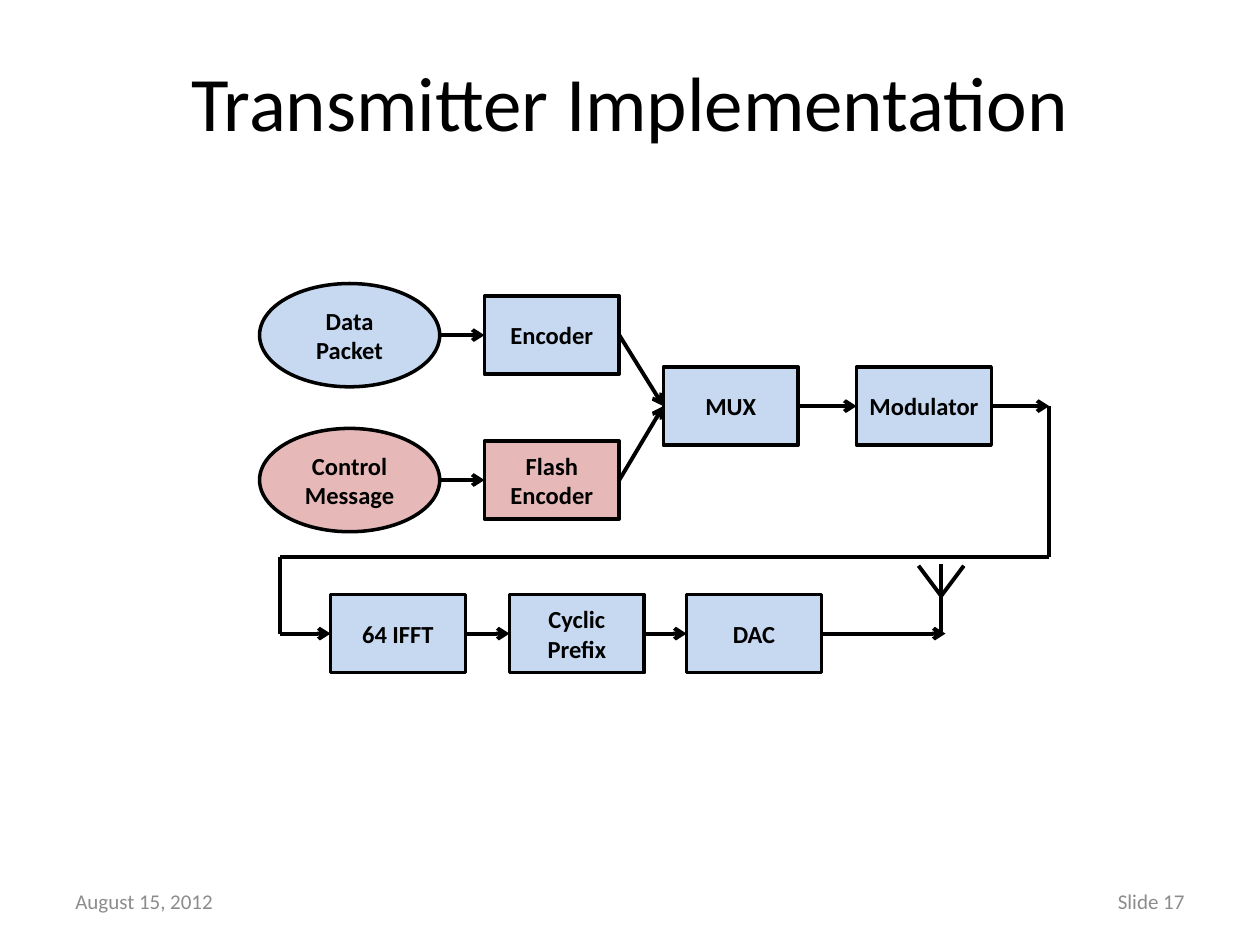
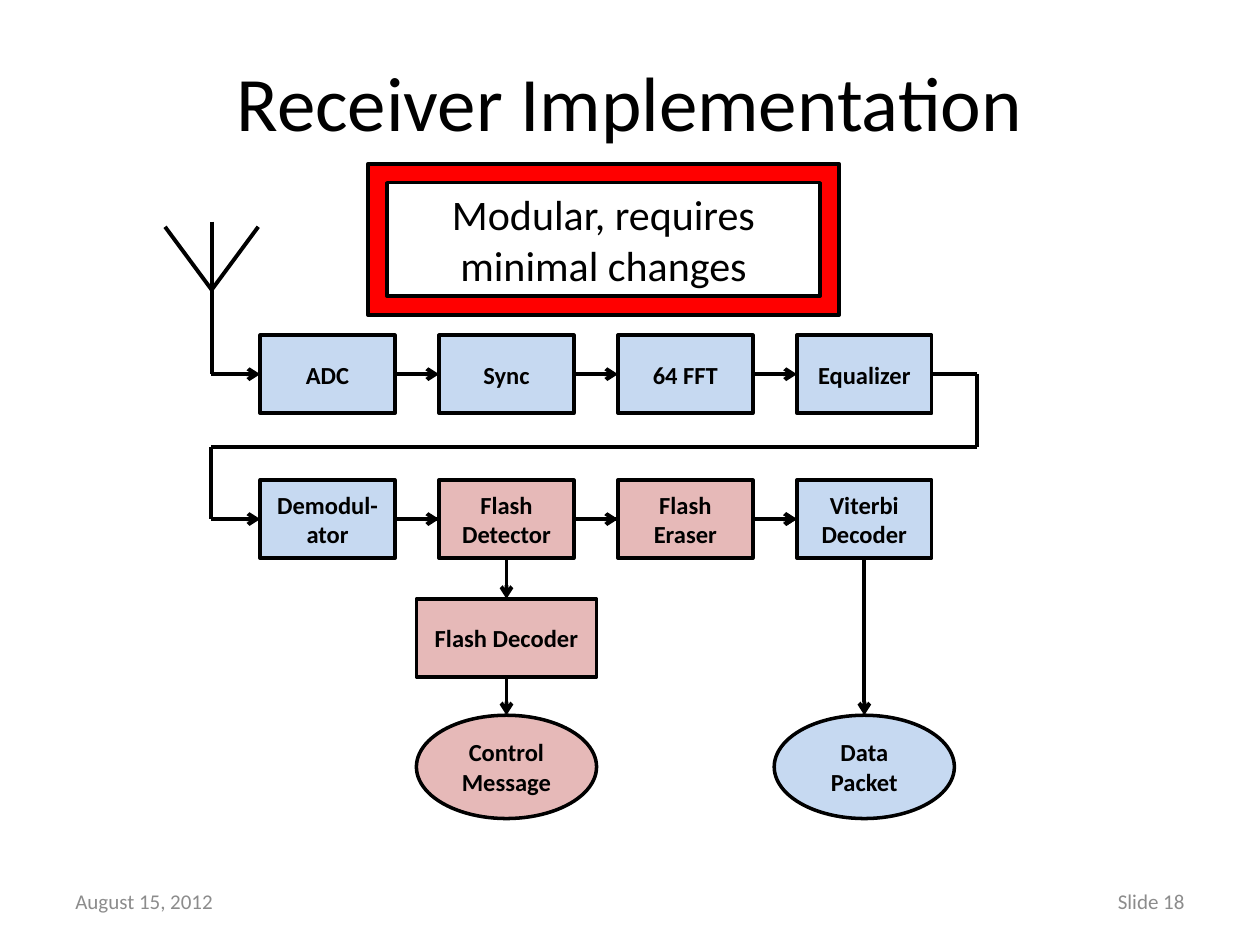
from dataclasses import dataclass
from typing import NamedTuple, Union

import pptx
import pptx.dml.color
import pptx.enum.shapes
import pptx.enum.text
import pptx.oxml.ns
import pptx.util
from lxml import etree
from pptx.shapes.autoshape import Shape
from pptx.shapes.connector import Connector
from pptx.slide import Slide

RGBColor = pptx.dml.color.RGBColor
Inches = pptx.util.Inches
Pt = pptx.util.Pt
Align = pptx.enum.text.PP_ALIGN
Preset = pptx.enum.shapes.MSO_SHAPE

BLACK = RGBColor(0x00, 0x00, 0x00)
GREY = RGBColor(0x8C, 0x8C, 0x8C)
RED = RGBColor(0xFF, 0x00, 0x00)
STANDARD = RGBColor(0xC6, 0xD9, 0xF1)
FLASH = RGBColor(0xE6, 0xB9, 0xB8)

FONT = "Calibri"
SLIDE_WIDTH, SLIDE_HEIGHT = 10, 7.5
COLUMN, ROW = 1.42, 1.15
BLOCK_WIDTH, BLOCK_HEIGHT = 1.07, 0.62
WIDE = 1.43
PACKET_HEIGHT = 0.82
TOP, LEFT, BOTTOM, RIGHT = range(4)


class Point(NamedTuple):
    x: float
    y: float


class Joint(NamedTuple):
    """The middle of one side of a stage."""
    stage: Shape
    side: int


End = Union[Point, Joint]


class Grid(NamedTuple):
    """Stage centres, counted in columns and rows from the first block."""
    x: float
    y: float

    def at(self, column: float, row: float) -> Point:
        return Point(self.x + column * COLUMN, self.y + row * ROW)


@dataclass(frozen=True)
class Stage:
    label: str
    column: float
    row: float
    fill: RGBColor = STANDARD
    width: float = BLOCK_WIDTH
    height: float = BLOCK_HEIGHT
    preset: Preset = Preset.RECTANGLE


@dataclass(frozen=True)
class Antenna:
    mast: float
    top: float
    tips: float
    fork: float
    foot: float
    spread: float


def packet(label: str, column: float, row: float, fill: RGBColor) -> Stage:
    return Stage(label, column, row, fill, WIDE, PACKET_HEIGHT, Preset.OVAL)


def write(shape: Shape, text: str, *, size: float, color: RGBColor = BLACK,
          bold: bool = False, align: Align = Align.CENTER,
          side_inset: float = 0.1) -> None:
    frame = shape.text_frame
    frame.word_wrap = True
    frame.vertical_anchor = pptx.enum.text.MSO_ANCHOR.MIDDLE
    frame.margin_left = frame.margin_right = Inches(side_inset)
    frame.text = text
    paragraph = frame.paragraphs[0]
    paragraph.alignment = align
    paragraph.font.name = FONT
    paragraph.font.size = Pt(size)
    paragraph.font.bold = bold
    paragraph.font.color.rgb = color


def place(shape: Shape, left: float, top: float, width: float, height: float) -> None:
    """Position a shape by shares of the slide's size."""
    shape.left, shape.width = (Inches(share * SLIDE_WIDTH) for share in (left, width))
    shape.top, shape.height = (Inches(share * SLIDE_HEIGHT) for share in (top, height))


def add_page(deck: pptx.presentation.Presentation, title: str, number: int) -> Slide:
    slide = deck.slides.add_slide(deck.slide_layouts[5])
    place(slide.shapes.title, 0.05, 0.023, 0.9, 0.167)
    write(slide.shapes.title, title, size=44)
    footers = ((0.05, "August 15, 2012", Align.LEFT),
               (0.717, f"Slide {number}", Align.RIGHT))
    for left, text, align in footers:
        footer = slide.shapes.add_textbox(0, 0, 0, 0)
        place(footer, left, 0.927, 0.233, 0.053)
        write(footer, text, size=12, color=GREY, align=align)
    return slide


def add_outlined(slide: Slide, preset: Preset, centre: Point, width: float,
                 height: float, fill: RGBColor) -> Shape:
    shape = slide.shapes.add_shape(
        preset, Inches(centre.x - width / 2), Inches(centre.y - height / 2),
        Inches(width), Inches(height))
    shape.shadow.inherit = False
    shape.fill.solid()
    shape.fill.fore_color.rgb = fill
    shape.line.color.rgb = BLACK
    shape.line.width = Pt(2)
    return shape


def add_stages(slide: Slide, grid: Grid, stages: list[Stage]) -> dict[str, Shape]:
    drawn = {}
    for stage in stages:
        shape = add_outlined(slide, stage.preset, grid.at(stage.column, stage.row),
                             stage.width, stage.height, stage.fill)
        write(shape, stage.label, size=14, bold=True, side_inset=0.08)
        drawn[stage.label] = shape
    return drawn


def locate(end: End) -> Point:
    if isinstance(end, Point):
        return end
    stage = end.stage
    across, down = {TOP: (0.5, 0), LEFT: (0, 0.5),
                    BOTTOM: (0.5, 1), RIGHT: (1, 0.5)}[end.side]
    return Point((stage.left + across * stage.width) / Inches(1),
                 (stage.top + down * stage.height) / Inches(1))


def is_block(end: End) -> bool:
    return isinstance(end, Joint) and end.stage.auto_shape_type == Preset.RECTANGLE


def connect(slide: Slide, start: End, finish: End, arrow: bool = True) -> Connector:
    """Draw a line and glue it to the rectangles it touches."""
    first, last = locate(start), locate(finish)
    line = slide.shapes.add_connector(
        pptx.enum.shapes.MSO_CONNECTOR.STRAIGHT,
        Inches(first.x), Inches(first.y), Inches(last.x), Inches(last.y))
    if is_block(start):
        line.begin_connect(start.stage, start.side)
    if is_block(finish):
        line.end_connect(finish.stage, finish.side)
    line.line.color.rgb = BLACK
    line.line.width = Pt(2.25)
    qn = pptx.oxml.ns.qn
    if arrow:
        etree.SubElement(line.line._get_or_add_ln(), qn("a:tailEnd"), type="arrow")
    etree.SubElement(line._element.spPr, qn("a:effectLst"))
    return line


def connect_pairs(slide: Slide, drawn: dict[str, Shape], pairs: list[tuple[str, str]],
                  leave: int = RIGHT, enter: int = LEFT) -> None:
    for source, target in pairs:
        connect(slide, Joint(drawn[source], leave), Joint(drawn[target], enter))


def add_path(slide: Slide, points: list[Point]) -> None:
    for start, finish in zip(points, points[1:]):
        connect(slide, start, finish, arrow=False)


def add_antenna(slide: Slide, antenna: Antenna) -> None:
    fork = Point(antenna.mast, antenna.fork)
    for reach in (-antenna.spread, antenna.spread):
        add_path(slide, [Point(antenna.mast + reach, antenna.tips), fork])
    add_path(slide, [Point(antenna.mast, antenna.top), Point(antenna.mast, antenna.foot)])


def add_transmitter(deck: pptx.presentation.Presentation) -> None:
    slide = add_page(deck, "Transmitter Implementation", 17)
    grid = Grid(4.38, 2.66)
    drawn = add_stages(slide, grid, [
        packet("Data Packet", -1.13, 0, STANDARD),
        packet("Control Message", -1.13, 1, FLASH),
        Stage("Encoder", 0, 0),
        Stage("Flash Encoder", 0, 1, FLASH),
        Stage("MUX", 1, 0.49),
        Stage("Modulator", 2.08, 0.49),
        Stage("64 IFFT", -0.86, 2.06),
        Stage("Cyclic Prefix", 0.14, 2.06),
        Stage("DAC", 1.13, 2.06),
    ])
    connect_pairs(slide, drawn, [
        ("Data Packet", "Encoder"), ("Control Message", "Flash Encoder"),
        ("Encoder", "MUX"), ("Flash Encoder", "MUX"), ("MUX", "Modulator"),
        ("64 IFFT", "Cyclic Prefix"), ("Cyclic Prefix", "DAC"),
    ])
    wrap = [grid.at(2.78, 0.49), grid.at(2.78, 1.53),
            grid.at(-1.52, 1.53), grid.at(-1.52, 2.06)]
    connect(slide, Joint(drawn["Modulator"], RIGHT), wrap[0])
    add_path(slide, wrap)
    connect(slide, wrap[-1], Joint(drawn["64 IFFT"], LEFT))
    feed = grid.at(2.2, 2.06)
    connect(slide, Joint(drawn["DAC"], RIGHT), feed)
    add_antenna(slide, Antenna(mast=7.47, top=4.48, tips=4.49, fork=4.73,
                               foot=feed.y, spread=0.18))


def add_receiver(deck: pptx.presentation.Presentation) -> None:
    slide = add_page(deck, "Receiver Implementation", 18)
    grid = Grid(2.6, 2.97)
    half_block = BLOCK_WIDTH / COLUMN / 2
    connect(slide, grid.at(half_block, 1), grid.at(3 - half_block, 1))

    front_end = ["ADC", "Sync", "64 FFT", "Equalizer"]
    decoding = ["Demodul-ator", "Flash Detector", "Flash Eraser", "Viterbi Decoder"]
    drawn = add_stages(slide, grid, [
        Stage(label, column, row, FLASH if label.startswith("Flash") else STANDARD)
        for row, chain in enumerate((front_end, decoding))
        for column, label in enumerate(chain)
    ] + [
        Stage("Flash Decoder", 1, 1.82, FLASH, WIDE),
        packet("Control Message", 1, 2.71, FLASH),
        packet("Data Packet", 3, 2.71, STANDARD),
    ])
    for chain in (front_end, decoding):
        connect_pairs(slide, drawn, list(zip(chain, chain[1:])))
    connect_pairs(slide, drawn, [
        ("Flash Detector", "Flash Decoder"), ("Flash Decoder", "Control Message"),
        ("Viterbi Decoder", "Data Packet"),
    ], leave=BOTTOM, enter=TOP)

    wrap = [grid.at(3.63, 0), grid.at(3.63, 0.5),
            grid.at(-0.65, 0.5), grid.at(-0.65, 1)]
    connect(slide, Joint(drawn["Equalizer"], RIGHT), wrap[0], arrow=False)
    add_path(slide, wrap)
    connect(slide, wrap[-1], Joint(drawn["Demodul-ator"], LEFT))
    add_antenna(slide, Antenna(mast=1.68, top=1.76, tips=1.8, fork=2.3,
                               foot=grid.y, spread=0.37))
    connect(slide, grid.at(-0.65, 0), Joint(drawn["ADC"], LEFT))

    takeaway = add_outlined(slide, Preset.FRAME, Point(4.79, 1.9), 3.74, 1.2, RED)
    write(takeaway, "Modular, requires minimal changes", size=24)


def main() -> None:
    deck = pptx.Presentation()
    deck.slide_width, deck.slide_height = Inches(SLIDE_WIDTH), Inches(SLIDE_HEIGHT)
    add_transmitter(deck)
    add_receiver(deck)
    deck.save("out.pptx")


if __name__ == "__main__":
    main()
